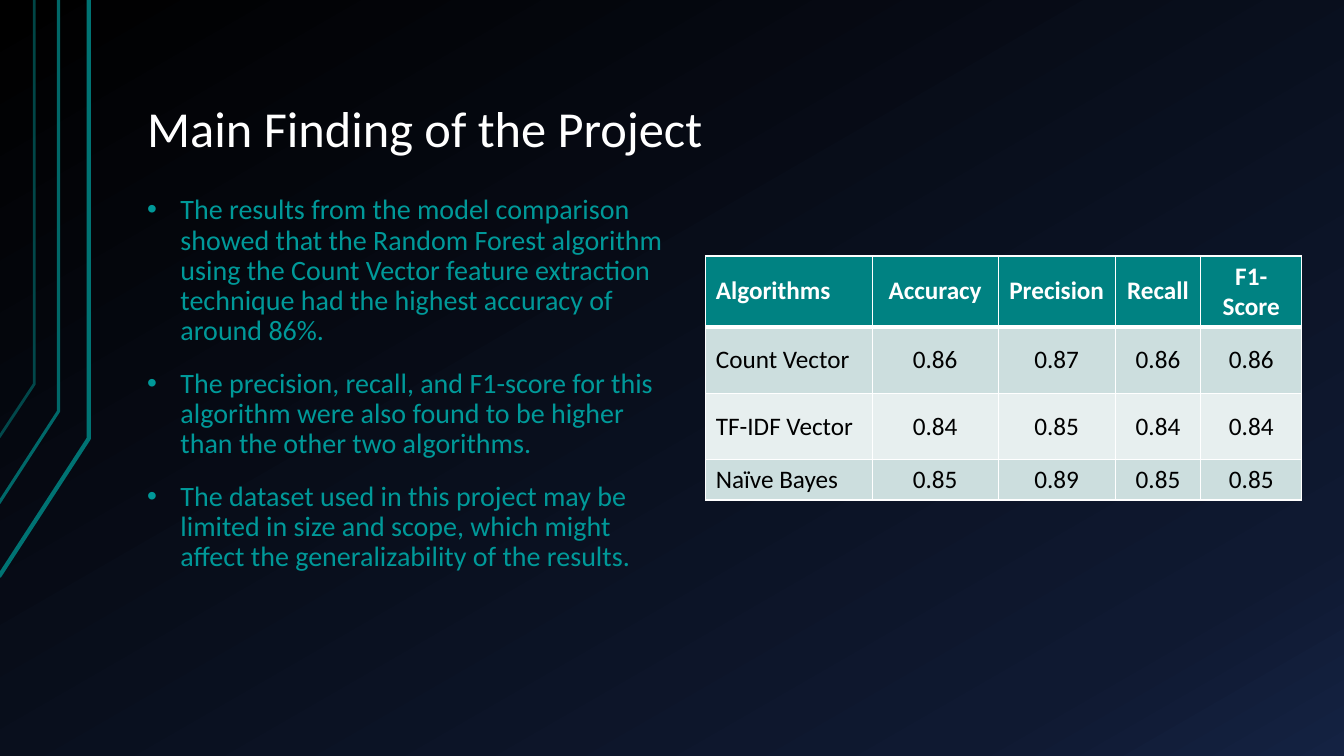
from dataclasses import dataclass
from lxml.etree import SubElement
from pptx import Presentation
from pptx.dml.color import RGBColor
from pptx.enum.text import MSO_ANCHOR, PP_ALIGN
from pptx.oxml.ns import qn
from pptx.util import Inches, Pt


@dataclass(frozen=True)
class Theme:
    font: str = "Calibri"
    title_size: int = 36
    body_size: int = 20
    table_size: int = 18
    white: str = "FFFFFF"
    black: str = "000000"
    bullet: str = "009999"
    trace: str = "007373"
    header: str = "008282"
    bands: tuple = ("CCDEDE", "E7EFEF")
    backdrop: tuple = ((0, "000000"), (85, "0F1931"), (100, "142242"))
    backdrop_angle: int = 60


T = Theme()


def rgb(value):
    return RGBColor.from_string(value)


def add_run(p, text, size, color, bold=False):
    r = p.add_run()
    r.text = text
    r.font.name, r.font.size, r.font.bold = T.font, Pt(size), bold
    r.font.color.rgb = rgb(color)


def add_text_frame(s, box, anchor):
    tf = s.shapes.add_textbox(*map(Inches, box)).text_frame
    tf.word_wrap = True
    tf.vertical_anchor = anchor
    tf.margin_left = tf.margin_right = Inches(0.13)
    tf.margin_top = tf.margin_bottom = Inches(0.07)
    return tf


def add_backdrop(s):
    fill = s.background.fill
    fill.gradient()
    fill.gradient_angle = 360 - T.backdrop_angle
    stops = next(s.element.iter(qn("a:gsLst")))
    for stop in list(stops):
        stops.remove(stop)
    for position, color in T.backdrop:
        stop = SubElement(stops, qn("a:gs"), pos=str(position * 1000))
        SubElement(stop, qn("a:srgbClr"), val=color)


def add_traces(s, box, traces):
    left, top, _, _ = box
    for x, bend, end, width, opacity in traces:
        points = [(left + x, top + bend), (left + x, top)]
        builder = s.shapes.build_freeform(Inches(left - 0.01), Inches(top + end))
        builder.add_line_segments(
            [(Inches(px), Inches(py)) for px, py in points], close=False)
        sp = builder.convert_to_shape()
        sp.shadow.inherit = False
        sp.fill.background()
        sp.line.color.rgb = rgb(T.trace)
        sp.line.width = Pt(width)
        color = next(sp.line._ln.iter(qn("a:srgbClr")))
        SubElement(color, qn("a:alpha"), val=str(opacity * 1000))


def add_title(s, box, text):
    p = add_text_frame(s, box, MSO_ANCHOR.BOTTOM).paragraphs[0]
    p.line_spacing = 0.9
    add_run(p, text, T.title_size, T.white)


def add_findings(s, box, findings):
    tf = add_text_frame(s, box, MSO_ANCHOR.TOP)
    for i, text in enumerate(findings):
        p = tf.paragraphs[0] if i == 0 else tf.add_paragraph()
        p.line_spacing = 0.9
        p.space_before = Pt(16)
        pPr = p._p.get_or_add_pPr()
        pPr.set("marL", str(Inches(0.33)))
        pPr.set("indent", str(-Inches(0.33)))
        color = SubElement(pPr, qn("a:buClr"))
        SubElement(color, qn("a:srgbClr"), val=T.bullet)
        SubElement(pPr, qn("a:buFont"), typeface="Arial")
        SubElement(pPr, qn("a:buChar"), char="•")
        add_run(p, text, T.body_size, T.bullet)


def add_borders(cell, top, bottom):
    tcPr = cell._tc.get_or_add_tcPr()
    for side, width in (("L", 1), ("R", 1), ("T", top), ("B", bottom)):
        ln = SubElement(tcPr, qn(f"a:ln{side}"), w=str(Pt(width)))
        fill = SubElement(ln, qn("a:solidFill"))
        SubElement(fill, qn("a:srgbClr"), val=T.white)


def add_scores(s, box, rows, widths, heights):
    table = s.shapes.add_table(len(rows), len(widths), *map(Inches, box)).table
    table.horz_banding = False
    for column, width in zip(table.columns, widths):
        column.width = Inches(width)
    for i, (values, height) in enumerate(zip(rows, heights)):
        table.rows[i].height = Inches(height)
        is_header = i == 0
        for j, value in enumerate(values):
            cell = table.cell(i, j)
            add_borders(cell, 3 if i == 1 else 1, 3 if is_header else 1)
            cell.fill.solid()
            cell.fill.fore_color.rgb = rgb(T.header if is_header else T.bands[(i - 1) % 2])
            cell.vertical_anchor = MSO_ANCHOR.MIDDLE
            p = cell.text_frame.paragraphs[0]
            p.alignment = PP_ALIGN.CENTER if j else PP_ALIGN.LEFT
            add_run(p, value, T.table_size, T.white if is_header else T.black, is_header)


TRACES = [
    (0.88, 4.35, 5.72, 3, 100),
    (0.58, 4.08, 4.99, 2.25, 90),
    (0.34, 3.81, 4.34, 2, 60),
]
FINDINGS = [
    "The results from the model comparison showed that the Random Forest algorithm "
    "using the Count Vector feature extraction technique had the highest accuracy of around 86%.",
    "The precision, recall, and F1-score for this algorithm were also found to be "
    "higher than the other two algorithms.",
    "The dataset used in this project may be limited in size and scope, which might "
    "affect the generalizability of the results.",
]
SCORES = [
    ("Algorithms", "Accuracy", "Precision", "Recall", "F1-Score"),
    ("Count Vector", "0.86", "0.87", "0.86", "0.86"),
    ("TF-IDF Vector", "0.84", "0.85", "0.84", "0.84"),
    ("Naïve Bayes", "0.85", "0.89", "0.85", "0.85"),
]

prs = Presentation()
prs.slide_width, prs.slide_height = Inches(13.33), Inches(7.5)
s = prs.slides.add_slide(prs.slide_layouts[6])
add_backdrop(s)
add_traces(s, (0, 0, 0.88, 5.72), TRACES)
add_title(s, (1.33, 0.3, 11.33, 1.34), "Main Finding of the Project")
add_findings(s, (1.33, 1.87, 5.55, 4.88), FINDINGS)
add_scores(s, (7, 2.54, 5.91, 2.41), SCORES,
           (1.65, 1.25, 1.16, 0.85, 1), (0.68, 0.66, 0.66, 0.39))
prs.save("out.pptx")
